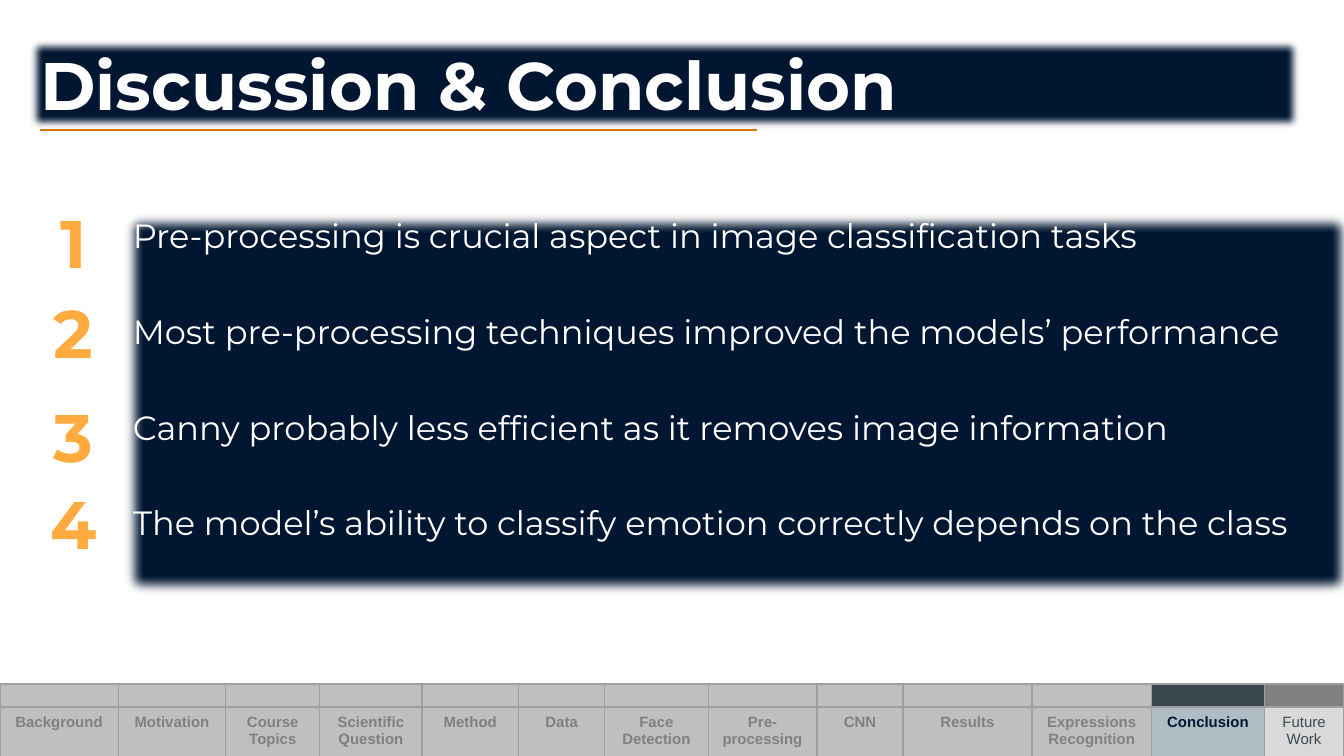
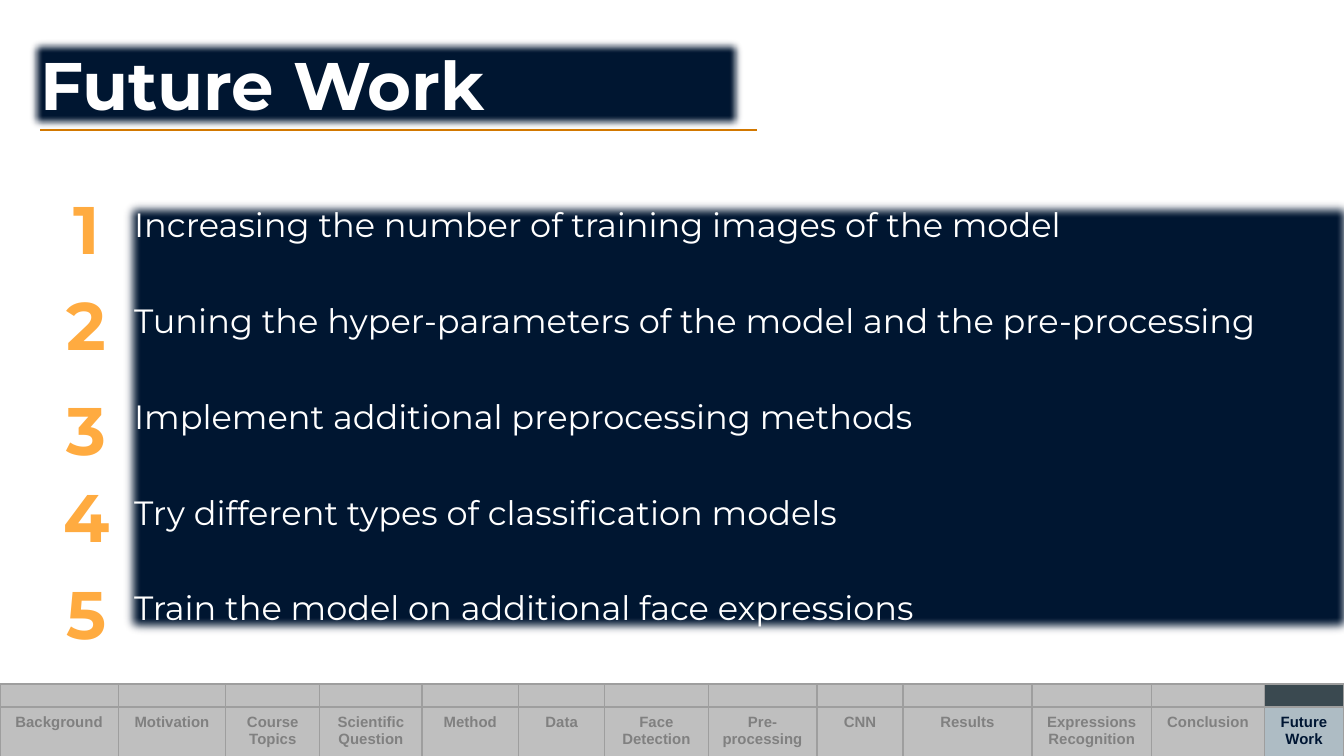
from lxml import etree
from pptx import Presentation
from pptx import util as u
from pptx.dml.color import RGBColor
from pptx.enum import shapes, text
from pptx.oxml import ns

EMU_PER_PX = 9144  # 100 px to the inch
COLORS = {
    "navy": "001631", "white": "FFFFFF", "rule": "D27800", "number": "FFAB40",
    "grid": "9E9E9E", "done": "BFBFBF", "done_text": "808080",
    "active_band": "3A4950", "active": "AEBCC4", "active_text": "001633",
    "next_band": "808080", "next": "D9D9D9", "next_text": "3A4950",
}
HEADING_FONT = "Montserrat"
NAV_FONT = "Arial"
SECTIONS = [
    ("Background", 88), ("Motivation", 80), ("Course Topics", 70),
    ("Scientific Question", 76), ("Method", 72), ("Data", 64),
    ("Face Detection", 77), ("Pre-processing", 81), ("CNN", 64),
    ("Results", 96), ("Expressions Recognition", 89), ("Conclusion", 84),
    ("Future Work", 59),
]
SLIDES = [
    {
        "title": "Discussion & Conclusion", "title_width": 949, "section": "Conclusion",
        "panel": (89, 155, 920, 292), "blur": 7, "number_left": 20,
        "points": [
            (141, "Pre-processing is crucial aspect in image classification tasks"),
            (208, "Most pre-processing techniques improved the models’ performance"),
            (285, "Canny probably less efficient as it removes image information"),
            (350, "The model’s ability to classify emotion correctly depends on the class"),
        ],
    },
    {
        "title": "Future Work", "title_width": 535, "section": "Future Work",
        "panel": (90, 147, 920, 328), "blur": 6, "number_left": 30,
        "points": [
            (130, "Increasing the number of training images of the model"),
            (202, "Tuning the hyper-parameters of the model and the pre-processing"),
            (280, "Implement additional preprocessing methods"),
            (345, "Try different types of classification models"),
            (417, "Train the model on additional face expressions"),
        ],
    },
]


def px(*lengths):
    return [u.Emu(length * EMU_PER_PX) for length in lengths]


def color(name):
    return RGBColor.from_string(COLORS[name])


def sub(parent, tag, **attributes):
    return etree.SubElement(parent, ns.qn(tag), **attributes)


def style(para, size, ink, font=HEADING_FONT, bold=False):
    for span in para.runs:
        span.font.size = u.Pt(size)
        span.font.name = font
        span.font.bold = bold
        span.font.color.rgb = color(ink)


# Navy panel with blurred edges, one paragraph per line of text
def add_panel(page, box, lines, size, blur=5, bold=False, gap=0):
    panel = page.shapes.add_shape(shapes.MSO_SHAPE.RECTANGLE, *px(*box))
    panel.fill.solid()
    panel.fill.fore_color.rgb = color("navy")
    panel.line.fill.background()
    panel.shadow.inherit = False
    effects = panel.element.spPr.find(ns.qn("a:effectLst"))
    sub(effects, "a:softEdge", rad=str(u.Pt(blur)))
    frame = panel.text_frame
    frame.word_wrap = True
    frame.vertical_anchor = text.MSO_ANCHOR.TOP
    frame.text = "\n".join(lines)
    for para in frame.paragraphs:
        para.alignment = text.PP_ALIGN.LEFT
        para.space_after = u.Pt(gap)
        style(para, size, "white", bold=bold)


# Title panel with the orange rule beneath
def add_title(page, title, width):
    add_panel(page, (20, 27, width, 71), [title], 36, bold=True)
    rule = page.shapes.add_connector(shapes.MSO_CONNECTOR.STRAIGHT, *px(30, 97, 563, 97))
    rule.line.color.rgb = color("rule")
    rule.line.width = u.Pt(1)
    sub(rule.element.spPr, "a:effectLst")


def add_number(page, left, top, number):
    box = page.shapes.add_textbox(*px(left, top, 69, 79))
    frame = box.text_frame
    frame.word_wrap = True
    frame.vertical_anchor = text.MSO_ANCHOR.BOTTOM
    frame.margin_top, frame.margin_bottom = px(10, 10)
    frame.text = str(number)
    para = frame.paragraphs[0]
    para.alignment = text.PP_ALIGN.CENTER
    style(para, 36, "number", bold=True)


def paint_cell(cell, fill):
    properties = cell._tc.get_or_add_tcPr()
    for side in ("a:lnL", "a:lnR", "a:lnT", "a:lnB"):
        border = sub(properties, side, w=str(u.Pt(0.75)))
        sub(sub(border, "a:solidFill"), "a:srgbClr", val=COLORS["grid"])
    cell.fill.solid()
    cell.fill.fore_color.rgb = color(fill)


# Section tracker along the bottom edge
def add_tracker(page, section):
    holder = page.shapes.add_table(2, len(SECTIONS), *px(0, 509, 1000, 54))
    table = holder.table
    table.first_row = table.horz_banding = False
    table.rows[0].height, table.rows[1].height = px(17, 32)
    active = [name for name, _ in SECTIONS].index(section)
    for index, (name, width) in enumerate(SECTIONS):
        table.columns[index].width = px(width)[0]
        state = "done" if index < active else "active" if index == active else "next"
        band, label = table.cell(0, index), table.cell(1, index)
        paint_cell(band, "done" if state == "done" else state + "_band")
        band.margin_top = band.margin_bottom = 0
        sub(band.text_frame.paragraphs[0]._p, "a:endParaRPr", sz="800")
        paint_cell(label, state)
        label.text_frame.text = name
        para = label.text_frame.paragraphs[0]
        para.alignment = text.PP_ALIGN.CENTER
        style(para, 8, state + "_text", NAV_FONT, bold=state != "next")
    holder.height = px(54)[0]


def add_page(deck, content):
    page = deck.slides.add_slide(deck.slide_layouts[6])
    lines = [line for _, line in content["points"]]
    add_panel(page, content["panel"], lines, 18, content["blur"], gap=29.7)
    add_title(page, content["title"], content["title_width"])
    for number, (top, _) in enumerate(content["points"], 1):
        add_number(page, content["number_left"], top, number)
    add_tracker(page, content["section"])


def main():
    deck = Presentation()
    deck.slide_width = px(1000)[0]
    deck.slide_height = u.Emu(deck.slide_width * 9 // 16)
    for content in SLIDES:
        add_page(deck, content)
    deck.save("out.pptx")


if __name__ == "__main__":
    main()
